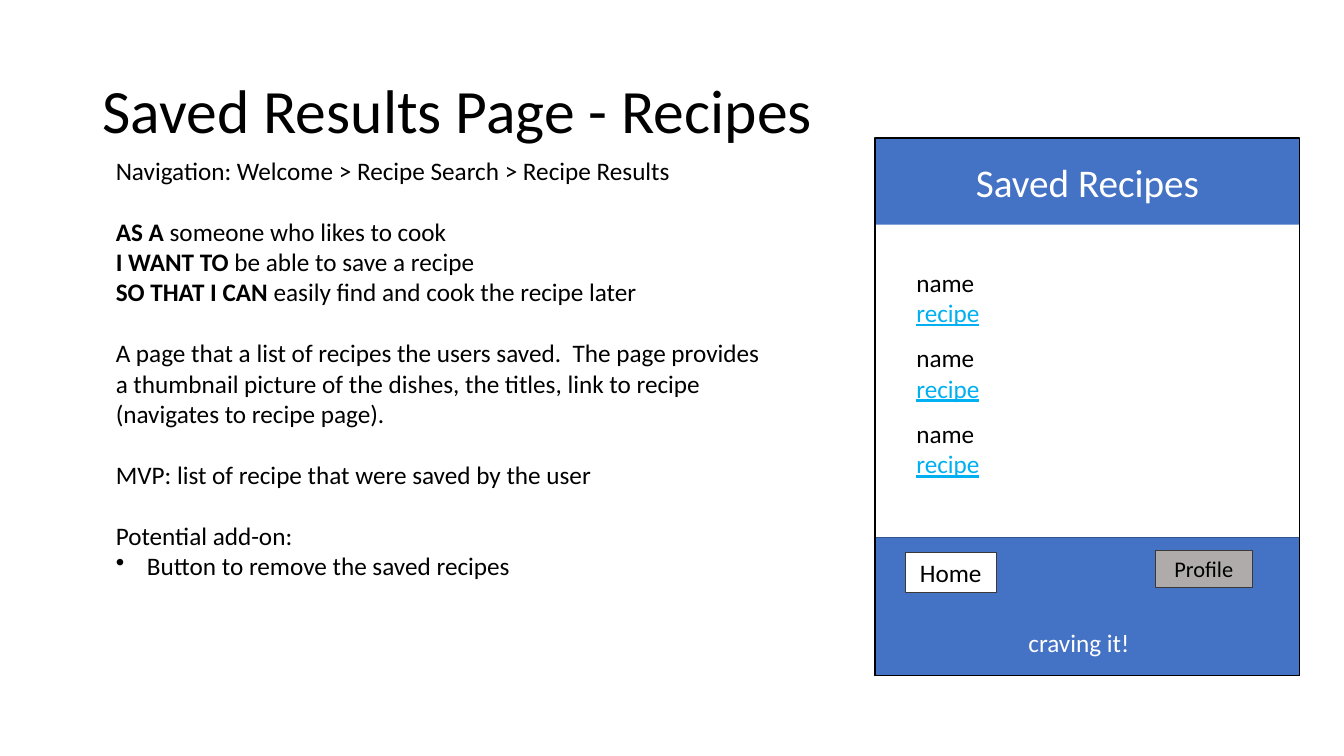
from dataclasses import dataclass

import pptx
import pptx.dml.color
import pptx.enum.shapes
import pptx.enum.text
import pptx.oxml.ns
import pptx.shapes.autoshape
import pptx.slide
import pptx.text.text
import pptx.util
from lxml import etree

Inches = pptx.util.Inches
Pt = pptx.util.Pt
ALIGN = pptx.enum.text.PP_ALIGN
ANCHOR = pptx.enum.text.MSO_ANCHOR

COLORS = {
    "text": "000000",
    "white": "FFFFFF",
    "band": "4472C4",
    "band_edge": "325491",
    "link": "00B0F0",
    "profile": "AFABAB",
    "button_edge": "3B3838",
}


@dataclass(frozen=True)
class Area:
    left: float
    top: float
    width: float
    height: float


@dataclass(frozen=True)
class Panel:
    area: Area
    fill: str | None = None
    edge: str | None = None
    edge_width: float = 1
    label: str = ""
    label_size: float = 18


@dataclass(frozen=True)
class Line:
    """One paragraph: an optional bold lead-in, then plain text."""
    text: str
    lead: str = ""
    space_before: float = 0
    bullet: bool = False
    color: str | None = None
    underline: bool = False


PHONE_LEFT, PHONE_TOP, PHONE_WIDTH, PHONE_HEIGHT = 8.68, 1.37, 4.21, 5.33
FOOTER_HEIGHT = 1.37
BLANK_LINE = 22  # height of an 18 pt line, in points
RECIPE_COUNT, RECIPE_TOP, RECIPE_STEP = 3, 2.6, 0.75

PANELS = [
    Panel(Area(PHONE_LEFT, PHONE_TOP + PHONE_HEIGHT - FOOTER_HEIGHT, PHONE_WIDTH, FOOTER_HEIGHT),
          "band", "band_edge"),
    Panel(Area(PHONE_LEFT, PHONE_TOP, PHONE_WIDTH, 0.86), "band"),
    Panel(Area(PHONE_LEFT, PHONE_TOP, PHONE_WIDTH, PHONE_HEIGHT), edge="text"),
    Panel(Area(11.46, 5.46, 0.96, 0.37), "profile", "button_edge", 0.75, "Profile", 16),
    Panel(Area(8.98, 5.48, 0.9, 0.4), "white", "button_edge", 0.75, "Home"),
]

USER_STORY = [
    Line("Navigation: Welcome > Recipe Search > Recipe Results"),
    Line("someone who likes to cook", lead="AS A ", space_before=BLANK_LINE),
    Line("be able to save a recipe", lead="I WANT TO "),
    Line(" easily find and cook the recipe later", lead="SO THAT I CAN"),
    Line("A page that a list of recipes the users saved.  The page provides a thumbnail "
         "picture of the dishes, the titles, link to recipe (navigates to recipe page).",
         space_before=BLANK_LINE),
    Line("MVP: list of recipe that were saved by the user", space_before=BLANK_LINE),
    Line("Potential add-on:", space_before=BLANK_LINE),
    Line("Button to remove the saved recipes", bullet=True),
]

SAVED_RECIPE = [Line("name"), Line("recipe", color="link", underline=True)]


def rgb(name: str) -> pptx.dml.color.RGBColor:
    return pptx.dml.color.RGBColor.from_string(COLORS[name])


def place(area: Area) -> tuple[int, int, int, int]:
    return Inches(area.left), Inches(area.top), Inches(area.width), Inches(area.height)


def add_bullet(paragraph: pptx.text.text._Paragraph) -> None:
    properties = paragraph._p.get_or_add_pPr()
    properties.set("marL", str(Inches(0.31)))
    properties.set("indent", str(-Inches(0.31)))
    mark = etree.SubElement(properties, pptx.oxml.ns.qn("a:buChar"))
    mark.set("char", "•")


def write(frame: pptx.text.text.TextFrame, lines: list[Line], *, size: float = 18,
          color: str = "text", align: ALIGN = ALIGN.LEFT, anchor: ANCHOR = ANCHOR.TOP,
          spacing: float = 1.0) -> None:
    frame.word_wrap = True
    frame.vertical_anchor = anchor
    for index, line in enumerate(lines):
        paragraph = frame.add_paragraph() if index else frame.paragraphs[0]
        paragraph.alignment = align
        paragraph.line_spacing = spacing
        paragraph.space_before = Pt(line.space_before)
        if line.bullet:
            add_bullet(paragraph)
        for text, bold in ((line.lead, True), (line.text, False)):
            if not text:
                continue
            run = paragraph.add_run()
            run.text = text
            run.font.name = "Calibri"
            run.font.size = Pt(size)
            run.font.bold = bold
            run.font.underline = line.underline
            run.font.color.rgb = rgb(line.color or color)


def add_text(slide: pptx.slide.Slide, area: Area, lines: list[Line], **text_format) -> None:
    write(slide.shapes.add_textbox(*place(area)).text_frame, lines, **text_format)


def add_panel(slide: pptx.slide.Slide, panel: Panel) -> None:
    rectangle = slide.shapes.add_shape(
        pptx.enum.shapes.MSO_SHAPE.RECTANGLE, *place(panel.area))
    rectangle.shadow.inherit = False
    if panel.fill:
        rectangle.fill.solid()
        rectangle.fill.fore_color.rgb = rgb(panel.fill)
    else:
        rectangle.fill.background()
    if panel.edge:
        rectangle.line.color.rgb = rgb(panel.edge)
        rectangle.line.width = Pt(panel.edge_width)
    else:
        rectangle.line.fill.background()
    if panel.label:
        write(rectangle.text_frame, [Line(panel.label)], size=panel.label_size,
              align=ALIGN.CENTER)


def main() -> None:
    presentation = pptx.Presentation()
    presentation.slide_width = Inches(13.33)
    presentation.slide_height = Inches(7.5)
    slide = presentation.slides.add_slide(presentation.slide_layouts[6])

    add_text(slide, Area(0.92, 0.4, 11.5, 1.45), [Line("Saved Results Page - Recipes")],
             size=44, anchor=ANCHOR.MIDDLE, spacing=0.9)
    add_text(slide, Area(1.05, 1.49, 6.74, 4.95), USER_STORY)

    for panel in PANELS:
        add_panel(slide, panel)
    add_text(slide, Area(PHONE_LEFT, 1.52, PHONE_WIDTH, 0.57), [Line("Saved Recipes")],
             size=28, color="white", align=ALIGN.CENTER)
    for row in range(RECIPE_COUNT):
        add_text(slide, Area(8.99, RECIPE_TOP + row * RECIPE_STEP, 3.07, 0.71), SAVED_RECIPE)
    add_text(slide, Area(9.64, 6.17, 2.12, 0.4), [Line("craving it!")],
             color="white", align=ALIGN.CENTER)

    presentation.save("out.pptx")


if __name__ == "__main__":
    main()
